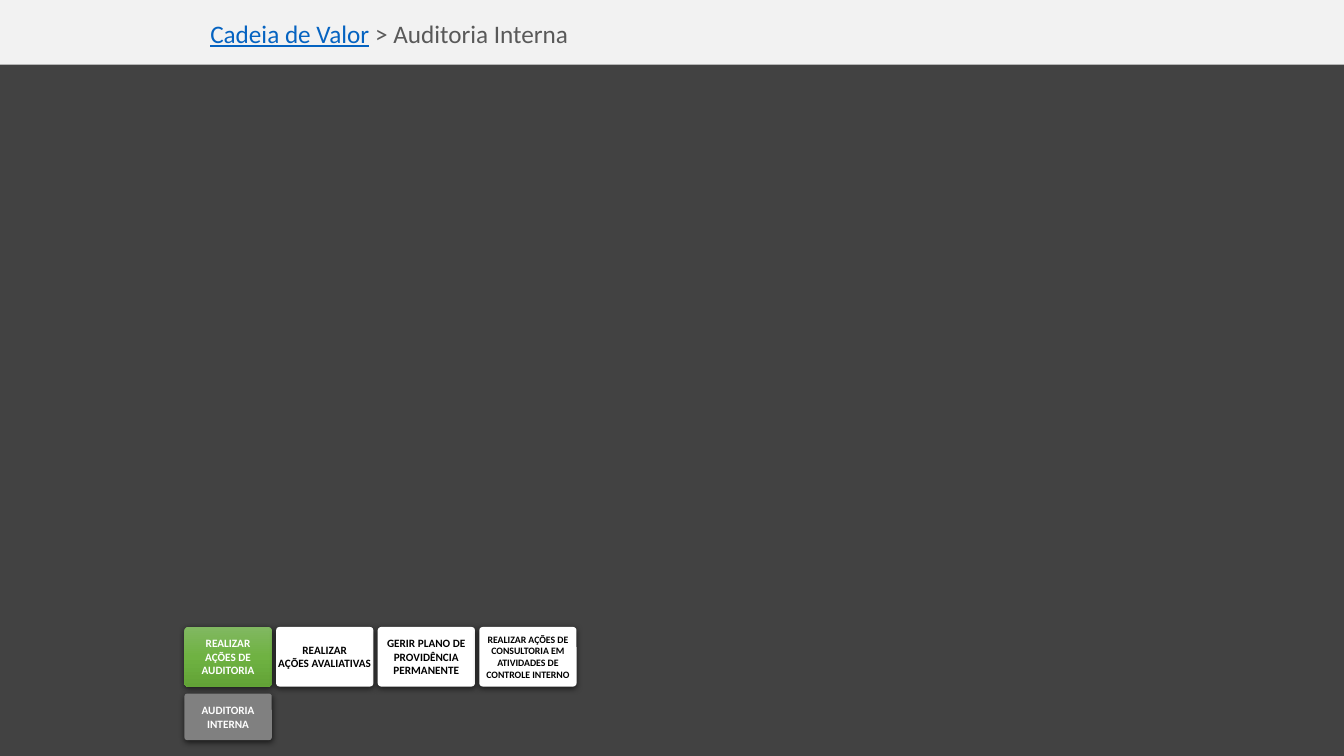
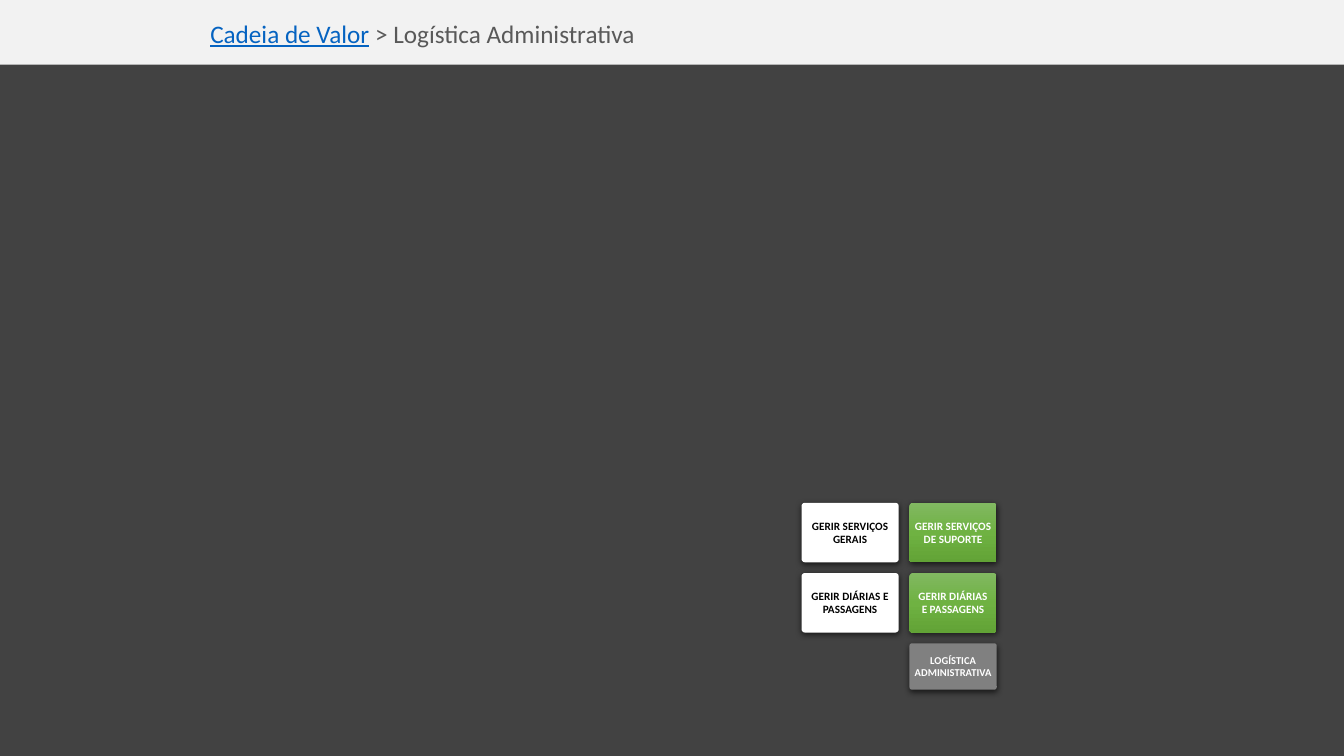
import copy

import lxml.etree
import pptx
import pptx.dml.color
import pptx.enum.shapes
import pptx.enum.text
import pptx.oxml.ns
import pptx.util

Cm = pptx.util.Cm
Pt = pptx.util.Pt
qn = pptx.oxml.ns.qn
SHAPES = pptx.enum.shapes.MSO_SHAPE
ALIGN = pptx.enum.text.PP_ALIGN
ANCHOR = pptx.enum.text.MSO_ANCHOR

FONT = "Calibri"
COLORS = {
    "header": "F2F2F2", "black": "000000", "white": "FFFFFF",
    "link": "0563C1", "title": "595959", "gray": "808080",
}
GREEN_STOPS = ["81B861", "6FB242", "62A336"]

# Sizes in centimetres
PAGE_WIDTH, PAGE_HEIGHT, HEADER_HEIGHT = 33.87, 19.05, 1.63
GREEN_WIDTH, WHITE_WIDTH = 2.2, 2.45
CARD_HEIGHT, LABEL_HEIGHT = 1.5, 1.17


def rgb(name):
    return pptx.dml.color.RGBColor.from_string(COLORS[name])


def add_span(para, text, size=8, color="black", bold=False, underline=False):
    span = para.add_run()
    span.text = text
    span.font.name = FONT
    span.font.size = Pt(size)
    span.font.color.rgb = rgb(color)
    span.font.bold = bold
    span.font.underline = underline


def add_box(page, kind, left, top, width, height, color):
    box = page.shapes.add_shape(kind, Cm(left), Cm(top), Cm(width), Cm(height))
    box.shadow.inherit = False
    box.fill.solid()
    box.fill.fore_color.rgb = rgb(color)
    box.line.fill.background()
    return box


def add_alpha(color_element, percent):
    lxml.etree.SubElement(color_element, qn("a:alpha"), val=str(percent * 1000))


def set_green_gradient(box):
    box.fill.gradient()
    box.fill.gradient_angle = 270
    stops = box._element.spPr.find(".//" + qn("a:gsLst"))
    middle = copy.deepcopy(stops[0])
    middle.set("pos", "50000")
    stops.insert(1, middle)
    for stop, color in zip(box.fill.gradient_stops, GREEN_STOPS):
        stop.color.rgb = pptx.dml.color.RGBColor.from_string(color)


def add_shadow(box):
    effects = box._element.spPr.find(qn("a:effectLst"))
    shadow = lxml.etree.SubElement(
        effects, qn("a:outerShdw"), blurRad=str(Pt(4.5)), dist=str(Pt(1.5)),
        dir="5400000", algn="ctr", rotWithShape="0")
    shade = lxml.etree.SubElement(shadow, qn("a:srgbClr"), val=COLORS["black"])
    add_alpha(shade, 63)


def add_card(page, text, left, top, width, height, fill="white", color="white", size=8):
    """Rounded card; each line of text becomes a paragraph."""
    box = add_box(page, SHAPES.ROUNDED_RECTANGLE, left, top, width, height, fill)
    box.adjustments[0] = 0.055
    add_shadow(box)
    frame = box.text_frame
    frame.word_wrap = True
    frame.vertical_anchor = ANCHOR.MIDDLE
    frame.margin_left = frame.margin_right = frame.margin_top = frame.margin_bottom = 0
    for index, line in enumerate(text.split("\n")):
        para = frame.add_paragraph() if index else frame.paragraphs[0]
        para.alignment = ALIGN.CENTER
        add_span(para, line, size=size, color=color, bold=True)
    return box


def add_white_card(page, text, left, top, size=8):
    add_card(page, text, left, top, WHITE_WIDTH, CARD_HEIGHT, color="black", size=size)


def add_green_card(page, text, left, top):
    set_green_gradient(add_card(page, text, left, top, GREEN_WIDTH, CARD_HEIGHT))


def add_label(page, text, left, top, size=8):
    add_card(page, text, left, top, GREEN_WIDTH, LABEL_HEIGHT, fill="gray", size=size)


def add_page(deck, area):
    """Page with the header band, dark backdrop and breadcrumb title."""
    page = deck.slides.add_slide(deck.slide_layouts[6])
    add_box(page, SHAPES.RECTANGLE, 0, 0, PAGE_WIDTH, HEADER_HEIGHT, "header")
    backdrop = add_box(page, SHAPES.RECTANGLE, 0, HEADER_HEIGHT, PAGE_WIDTH,
                       PAGE_HEIGHT - HEADER_HEIGHT, "black")
    add_alpha(backdrop._element.spPr.find(qn("a:solidFill"))[0], 74)
    title = page.shapes.add_textbox(Cm(5.05), Cm(0.33), Cm(28.55), Cm(1.32))
    title.text_frame.word_wrap = True
    para = title.text_frame.paragraphs[0]
    add_span(para, "Cadeia de Valor", size=18, color="link", underline=True)
    add_span(para, " > " + area, size=18, color="title")
    return page


def add_audit_page(deck):
    page = add_page(deck, "Auditoria Interna")
    left, top, gap = 4.65, 15.8, 0.11
    add_green_card(page, "REALIZAR\nAÇÕES DE AUDITORIA", left, top)
    white_cards = [
        ("REALIZAR\nAÇÕES AVALIATIVAS", 8),
        ("GERIR PLANO DE PROVIDÊNCIA PERMANENTE", 8),
        ("REALIZAR AÇÕES DE CONSULTORIA EM ATIVIDADES DE CONTROLE INTERNO", 7),
    ]
    for column, (text, size) in enumerate(white_cards):
        card_left = left + GREEN_WIDTH + gap + column * (WHITE_WIDTH + gap)
        add_white_card(page, text, card_left, top, size=size)
    add_label(page, "AUDITORIA INTERNA", left, top + CARD_HEIGHT + 0.18)


def add_logistics_page(deck):
    page = add_page(deck, "Logística Administrativa")
    left, top, gap = 20.2, 12.67, 0.27
    green_left = left + WHITE_WIDTH + gap
    rows = [
        ("GERIR SERVIÇOS GERAIS", "GERIR SERVIÇOS DE SUPORTE"),
        ("GERIR DIÁRIAS E PASSAGENS", "GERIR DIÁRIAS\nE PASSAGENS"),
    ]
    for white_text, green_text in rows:
        add_white_card(page, white_text, left, top)
        add_green_card(page, green_text, green_left, top)
        top += CARD_HEIGHT + gap
    add_label(page, "LOGÍSTICA ADMINISTRATIVA", green_left, top, size=7.5)


def main():
    deck = pptx.Presentation()
    deck.slide_width = Cm(PAGE_WIDTH)
    deck.slide_height = Cm(PAGE_HEIGHT)
    add_audit_page(deck)
    add_logistics_page(deck)
    deck.save("out.pptx")


if __name__ == "__main__":
    main()
